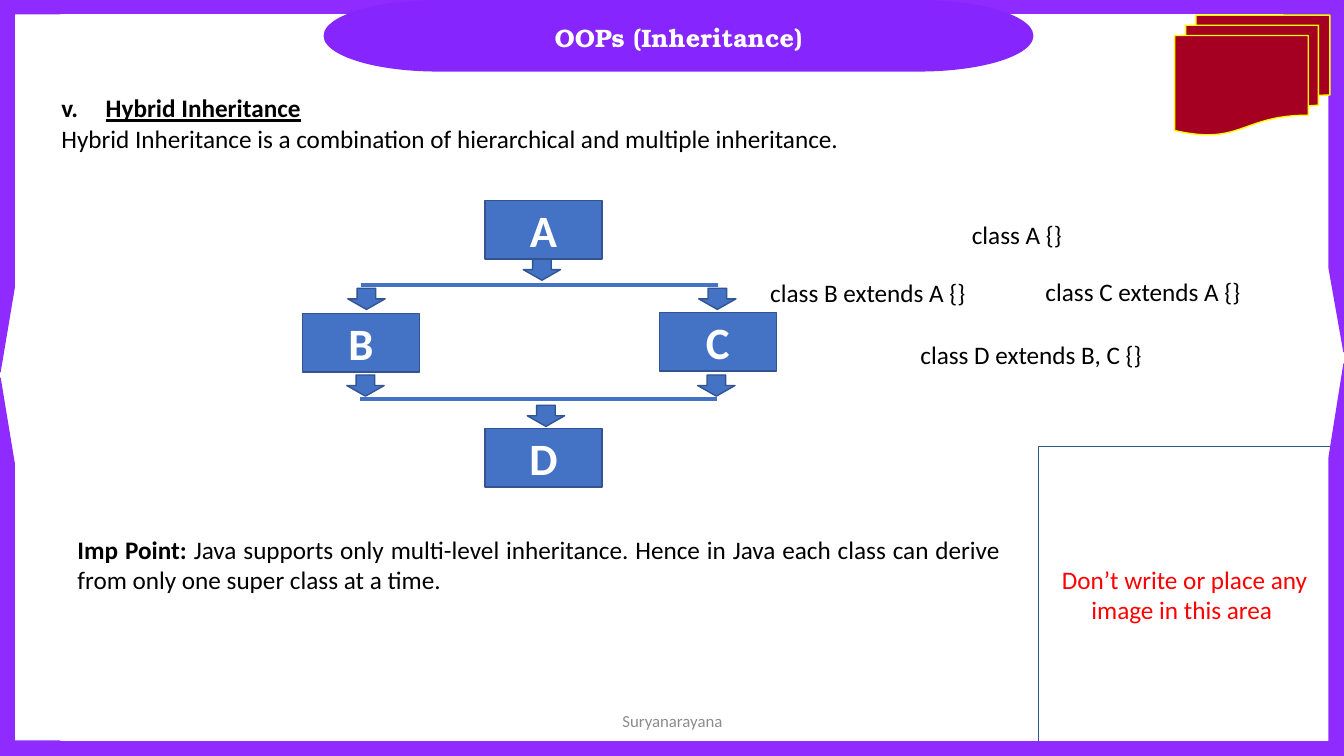
from lxml.etree import SubElement
from pptx import Presentation
from pptx.dml.color import RGBColor
from pptx.enum.shapes import MSO_CONNECTOR, MSO_SHAPE
from pptx.enum.text import MSO_ANCHOR, PP_ALIGN
from pptx.oxml.ns import qn
from pptx.util import Emu, Pt

PX = 9144  # 100 px to the inch
SLIDE_W, SLIDE_H = 1333, 750

VIOLET = RGBColor(0x90, 0x2B, 0xFF)
TITLE_VIOLET = RGBColor(0x87, 0x25, 0xFE)
CRIMSON = RGBColor(0xA5, 0x00, 0x21)
YELLOW = RGBColor(0xFF, 0xFF, 0x00)
BLUE = RGBColor(0x44, 0x72, 0xC4)
NAVY = RGBColor(0x32, 0x54, 0x91)
RED = RGBColor(0xFF, 0x00, 0x00)
GREY = RGBColor(0x8C, 0x8C, 0x8C)
WHITE = RGBColor(0xFF, 0xFF, 0xFF)
BLACK = RGBColor(0, 0, 0)

BODY_FONT, TITLE_FONT = "Calibri", "TeX Gyre Bonum"

TITLE = "OOPs (Inheritance)"
HEADING = "Hybrid Inheritance"
DEFINITION = "Hybrid Inheritance is a combination of hierarchical and multiple inheritance."
NOTE_LABEL = "Imp Point:"
NOTE = (" Java supports only multi-level inheritance. Hence in Java each class"
        " can derive from only one super class at a time.")
RESERVED = "Don’t write or place any image in this area "
FOOTER = "Suryanarayana"

# top, height, adjustments, rotation, flipped, on the right edge
FRAME_CORNERS = [
    (0, 369, (0.218, 0.228), 0, False, False),
    (0, 349, (0.228, 0.239), 0, True, True),
    (375, 375, (0.239, 0.228), 180, True, False),
    (361, 389, (0.228, 0.239), 180, False, True),
]
CORNER_W, BAR_H = 62, 14

CLASS_BOXES = [("A", 481, 199), ("D", 481, 425), ("C", 654, 310), ("B", 300, 311)]
BRANCH_LINES = [(358, 283), (357, 396)]
BRANCH_W = 354
ARROWS = [(519, 257), (345, 286), (693, 286), (523, 402), (344, 372), (692, 372)]
DECLARATIONS = [
    ("class A {}", 954, 213, 110),
    ("class B extends A {}", 754, 270, 215),
    ("class C extends A {}", 1027, 269, 215),
    ("class D extends B, C {}", 903, 332, 242),
]

prs = Presentation()
prs.slide_width, prs.slide_height = Emu(SLIDE_W * PX), Emu(SLIDE_H * PX)
slide = prs.slides.add_slide(prs.slide_layouts[6])


def px(*lengths):
    return [Emu(length * PX) for length in lengths]


def add_run(paragraph, text, size=18, color=BLACK, bold=False, underline=False,
            font=BODY_FONT):
    run = paragraph.add_run()
    run.text = text
    run.font.name, run.font.size = font, Pt(size)
    run.font.bold, run.font.underline = bold, underline
    run.font.color.rgb = color


def add_block(preset, left, top, width, height, fill, outline=None):
    block = slide.shapes.add_shape(preset, *px(left, top, width, height))
    block.shadow.inherit = False
    block.fill.solid()
    block.fill.fore_color.rgb = fill
    if outline is None:
        block.line.fill.background()
    else:
        block.line.color.rgb = outline
        block.line.width = Pt(1)
    return block


def label(block, text, **style):
    """Write centred text inside a block."""
    block.text_frame.vertical_anchor = MSO_ANCHOR.MIDDLE
    paragraph = block.text_frame.paragraphs[0]
    paragraph.alignment = PP_ALIGN.CENTER
    add_run(paragraph, text, **style)


def add_text(left, top, width, height, align=PP_ALIGN.LEFT, wrap=True):
    """Add a text box and return its first paragraph with its frame."""
    frame = slide.shapes.add_textbox(*px(left, top, width, height)).text_frame
    frame.word_wrap = wrap
    frame.paragraphs[0].alignment = align
    return frame.paragraphs[0], frame


def add_corner(top, height, adjustments, rotation, flipped, on_right):
    left = SLIDE_W - CORNER_W if on_right else 0
    corner = add_block(MSO_SHAPE.HALF_FRAME, left, top, CORNER_W, height, VIOLET, VIOLET)
    for index, value in enumerate(adjustments):
        corner.adjustments[index] = value
    corner.rotation = rotation
    if flipped:
        corner._element.spPr.find(qn("a:xfrm")).set("flipH", "1")


def add_branch_line(left, top):
    branch = slide.shapes.add_connector(
        MSO_CONNECTOR.STRAIGHT, *px(left, top, left + BRANCH_W, top))
    branch.line.color.rgb = BLUE
    branch.line.width = Pt(3)
    SubElement(branch._element.spPr, qn("a:effectLst"))


# Frame, title and reserved area
for corner in FRAME_CORNERS[:3]:
    add_corner(*corner)
add_block(MSO_SHAPE.RECTANGLE, 0, -1, SLIDE_W, BAR_H, VIOLET, VIOLET)
add_block(MSO_SHAPE.FLOWCHART_TERMINATOR, 321, 0, 704, 71, TITLE_VIOLET)
title, _ = add_text(332, 17, 682, 40, PP_ALIGN.CENTER)
add_run(title, TITLE, color=WHITE, bold=True, font=TITLE_FONT)
add_block(MSO_SHAPE.FLOWCHART_MULTIDOCUMENT, 1165, 15, 154, 119, CRIMSON, YELLOW)
reserved = add_block(MSO_SHAPE.RECTANGLE, 1030, 443, 290, 293, WHITE, NAVY)
label(reserved, RESERVED, color=RED)
add_corner(*FRAME_CORNERS[3])
add_block(MSO_SHAPE.RECTANGLE, 0, SLIDE_H - BAR_H, SLIDE_W, BAR_H, VIOLET, VIOLET)

# Heading and definition
heading, intro = add_text(51, 87, 951, 71)
heading_props = heading._p.get_or_add_pPr()
heading_props.set("marL", str(44 * PX))
heading_props.set("indent", str(-44 * PX))
SubElement(heading_props, qn("a:buFont"), typeface="+mj-lt")
SubElement(heading_props, qn("a:buAutoNum"), type="romanLcPeriod", startAt="5")
add_run(heading, HEADING, bold=True, underline=True)
add_run(intro.add_paragraph(), DEFINITION)

# Inheritance diagram
for name, left, top in CLASS_BOXES:
    class_box = add_block(MSO_SHAPE.RECTANGLE, left, top, 116, 58, BLUE, NAVY)
    label(class_box, name, size=32, color=WHITE, bold=True)
for left, top in BRANCH_LINES:
    add_branch_line(left, top)
for left, top in ARROWS:
    add_block(MSO_SHAPE.DOWN_ARROW, left, top, 37, 21, BLUE, NAVY)

# Note, declarations and footer
note, _ = add_text(67, 525, 935, 71, PP_ALIGN.JUSTIFY)
add_run(note, NOTE_LABEL, bold=True)
add_run(note, NOTE)
for code, left, top, width in DECLARATIONS:
    declaration, _ = add_text(left, top, width, 40, wrap=False)
    add_run(declaration, code)
footer, footer_frame = add_text(442, 695, 450, 40, PP_ALIGN.CENTER)
footer_frame.vertical_anchor = MSO_ANCHOR.MIDDLE
add_run(footer, FOOTER, size=12, color=GREY)

prs.save("out.pptx")
